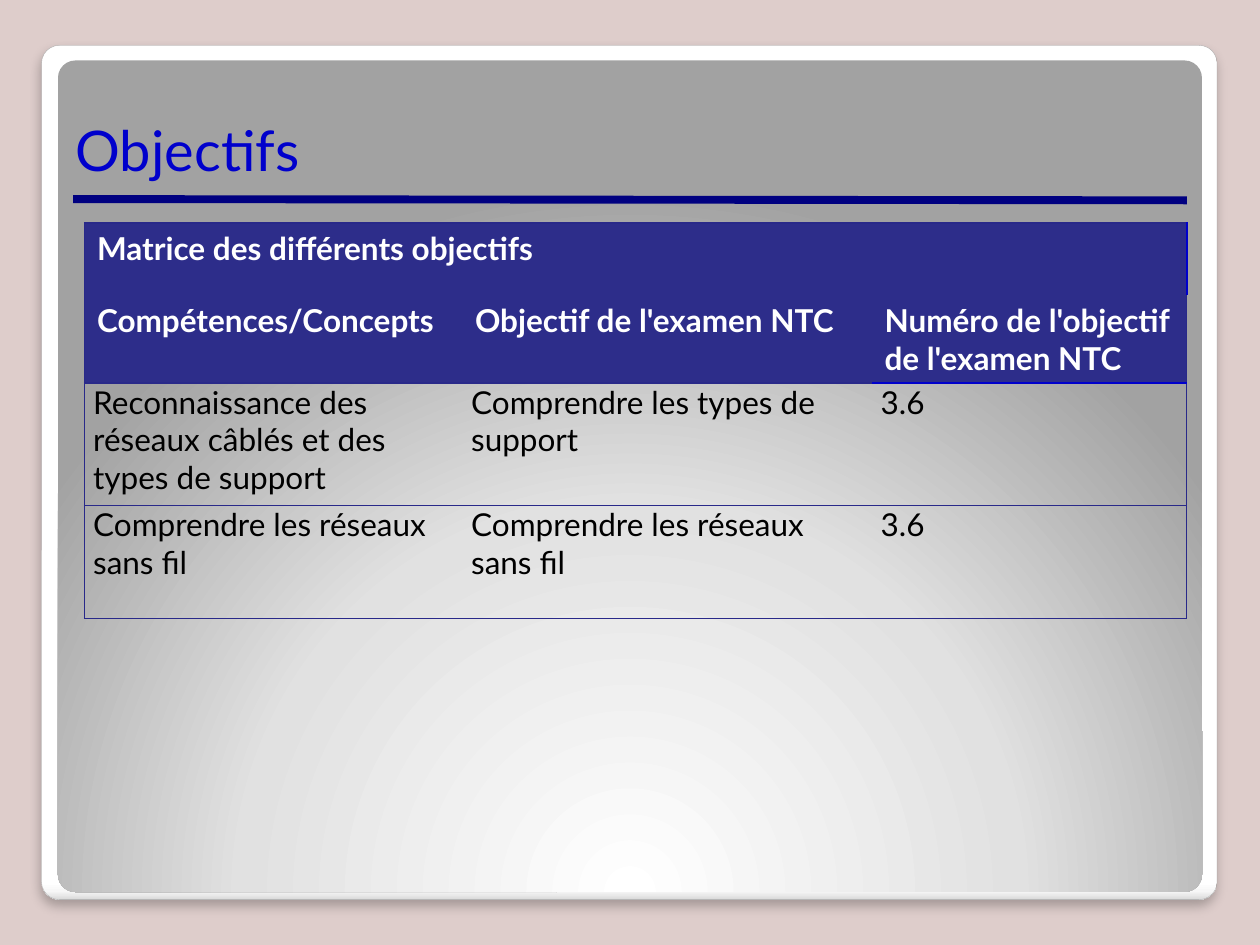
from lxml import etree
from pptx import Presentation
from pptx.dml.color import RGBColor
from pptx.enum.shapes import MSO_CONNECTOR, MSO_SHAPE
from pptx.enum.text import MSO_ANCHOR, PP_ALIGN
from pptx.oxml import parse_xml
from pptx.oxml.ns import nsdecls, qn
from pptx.util import Inches, Pt

LEFT = PP_ALIGN.LEFT
TOP, BOTTOM = MSO_ANCHOR.TOP, MSO_ANCHOR.BOTTOM
ROUNDED = MSO_SHAPE.ROUNDED_RECTANGLE
STRAIGHT = MSO_CONNECTOR.STRAIGHT
NO_TABLE_STYLE = "{2D5ABB26-0587-4C30-8999-92F81FD0307C}"

# Content
FONT = "Lato"
TITLE = "Objectifs"
ROWS = [
    ["Matrice des différents objectifs", "", ""],
    ["Compétences/Concepts", "Objectif de l'examen NTC",
     "Numéro de l'objectif de l'examen NTC"],
    ["Reconnaissance des réseaux câblés et des types de support",
     "Comprendre les types de support", "3.6"],
    ["Comprendre les réseaux sans fil", "Comprendre les réseaux sans fil", "3.6"],
]
HEADER_ROWS = 2
COLUMN_WIDTHS = [3, 3.25, 2.5]
ROW_HEIGHTS = [0.57, 0.7, 0.97, 0.9]

COLORS = {
    "background": "DECDCB", "frame_line": "A4A4A4", "rule": "000080",
    "title": "0000CC", "header": "2D2D8A", "border": "292989",
    "accent": "0000CC", "header_text": "FFFFFF", "body_text": "000000",
}
FRAME_STOPS = [(0, "FFFFFF"), (98, "FFFFFF"), (99, "F7F7F7"), (100, "DADADA")]
PANEL_STOPS = [(0, "FFFFFF"), (55, "E1E1E1"), (100, "A2A2A2")]
FRAME_DIRECTION = '<a:lin ang="5400000" scaled="0"/>'
PANEL_DIRECTION = ('<a:path path="circle"><a:fillToRect l="50000" t="175000" '
                   'r="50000" b="-75000"/></a:path>')


def rgb(name):
    return RGBColor.from_string(COLORS[name])


def write_text(text_frame, text, size, color, bold=False):
    text_frame.word_wrap = True
    paragraph = text_frame.paragraphs[0]
    paragraph.alignment = LEFT
    run = paragraph.add_run()
    run.text = text
    run.font.name = FONT
    run.font.size = Pt(size)
    run.font.bold = bold
    run.font.color.rgb = rgb(color)


def add_panel(slide, box, stops, direction):
    shape = slide.shapes.add_shape(ROUNDED, *map(Inches, box))
    shape.adjustments[0] = 0.021
    shape.shadow.inherit = False
    shape.line.fill.background()
    shape.fill.background()
    stop_xml = "".join(
        f'<a:gs pos="{position * 1000}"><a:srgbClr val="{color}"/></a:gs>'
        for position, color in stops)
    properties = shape._element.spPr
    properties.replace(properties.find(qn("a:noFill")), parse_xml(
        f'<a:gradFill {nsdecls("a")} rotWithShape="1"><a:gsLst>{stop_xml}'
        f'</a:gsLst>{direction}</a:gradFill>'))
    return shape


def set_borders(cell, edges):
    """edges maps L, R, T, B to a (colour name, points) pair."""
    properties = cell._tc.get_or_add_tcPr()
    sides = [side for side in "LRTB" if side in edges]
    for index, side in enumerate(sides):
        color, width = edges[side]
        properties.insert(index, parse_xml(
            f'<a:ln{side} {nsdecls("a")} w="{int(Pt(width))}"><a:solidFill>'
            f'<a:srgbClr val="{COLORS[color]}"/></a:solidFill></a:ln{side}>'))


def cell_edges(row, column):
    thin, accent = ("border", 0.75), ("accent", 1)
    last_column = len(COLUMN_WIDTHS) - 1

    def line_below(row_above):
        is_accent = (row_above, column) == (HEADER_ROWS - 1, last_column)
        return accent if is_accent else thin

    edges = {}
    if column == 0:
        edges["L"] = thin
    if row == 0:
        edges["T"] = thin
        edges["R"] = accent
    else:
        edges["B"] = line_below(row)
        if column == last_column:
            edges["R"] = thin
    if row >= HEADER_ROWS:
        edges["T"] = line_below(row - 1)
    return edges


def add_objectives_table(slide):
    frame = slide.shapes.add_table(
        len(ROWS), len(COLUMN_WIDTHS), Inches(0.67), Inches(1.77),
        Inches(sum(COLUMN_WIDTHS)), Inches(sum(ROW_HEIGHTS)))
    table = frame.table
    table._tbl.tblPr.find(qn("a:tableStyleId")).text = NO_TABLE_STYLE
    table.horz_banding = False
    for column, width in zip(table.columns, COLUMN_WIDTHS):
        column.width = Inches(width)
    for row, height in zip(table.rows, ROW_HEIGHTS):
        row.height = Inches(height)
    table.cell(0, 0).merge(table.cell(0, len(COLUMN_WIDTHS) - 1))

    for row, texts in enumerate(ROWS):
        is_header = row < HEADER_ROWS
        for column, text in enumerate(texts):
            cell = table.cell(row, column)
            cell.vertical_anchor = TOP
            cell.margin_left = cell.margin_right = Inches(0.1 if is_header else 0.07)
            cell.margin_top = cell.margin_bottom = Inches(0.05 if is_header else 0)
            if is_header:
                cell.fill.solid()
                cell.fill.fore_color.rgb = rgb("header")
            else:
                cell.fill.background()
            if text:
                write_text(cell.text_frame, text, size=18, bold=is_header,
                           color="header_text" if is_header else "body_text")
            set_borders(cell, cell_edges(row, column))


def main():
    presentation = Presentation()
    presentation.slide_width, presentation.slide_height = Inches(10), Inches(7.5)
    slide = presentation.slides.add_slide(presentation.slide_layouts[5])
    slide.background.fill.solid()
    slide.background.fill.fore_color.rgb = rgb("background")

    # White frame with a soft shadow, and the grey panel inside it
    frame = add_panel(slide, (0.33, 0.36, 9.33, 6.78), FRAME_STOPS, FRAME_DIRECTION)
    frame.line.color.rgb = rgb("frame_line")
    frame.line.width = Pt(0.16)
    frame._element.spPr.find(qn("a:effectLst")).append(parse_xml(
        f'<a:outerShdw {nsdecls("a")} blurRad="{Pt(6)}" dist="{Pt(4)}" '
        'dir="5400000" rotWithShape="0"><a:srgbClr val="000000">'
        '<a:alpha val="25000"/></a:srgbClr></a:outerShdw>'))
    add_panel(slide, (0.46, 0.48, 9.08, 6.6), PANEL_STOPS, PANEL_DIRECTION)

    # Rule under the title
    rule = slide.shapes.add_connector(
        STRAIGHT, Inches(0.58), Inches(1.58), Inches(9.42), Inches(1.59))
    rule.line.color.rgb = rgb("rule")
    rule.line.width = Pt(4.5)
    etree.SubElement(rule._element.spPr, qn("a:effectLst"))

    # Title, brought in front of the panels
    title = slide.shapes.title
    title.left, title.top = Inches(0.5), Inches(0.5)
    title.width, title.height = Inches(9), Inches(1)
    title.text_frame.vertical_anchor = BOTTOM
    write_text(title.text_frame, TITLE, size=32, color="title")
    rule._element.addnext(title._element)

    add_objectives_table(slide)
    presentation.save("out.pptx")


if __name__ == "__main__":
    main()
